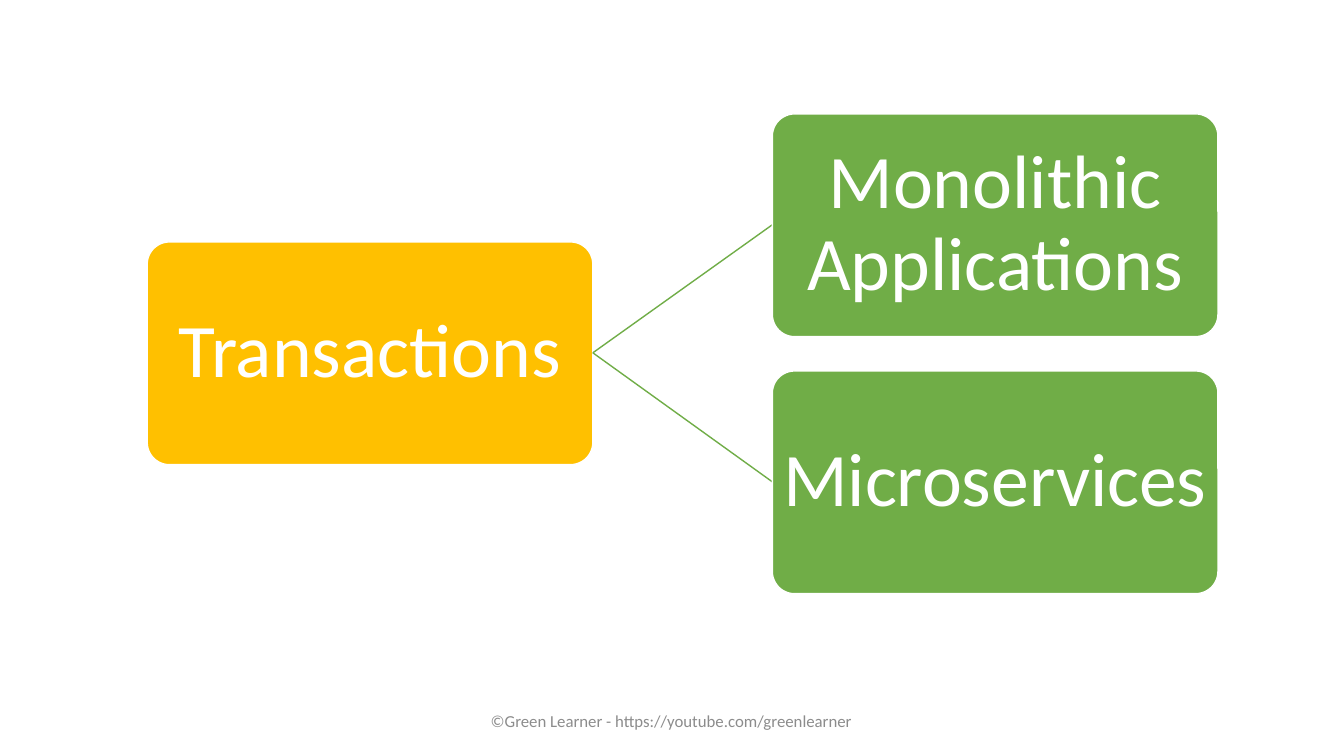
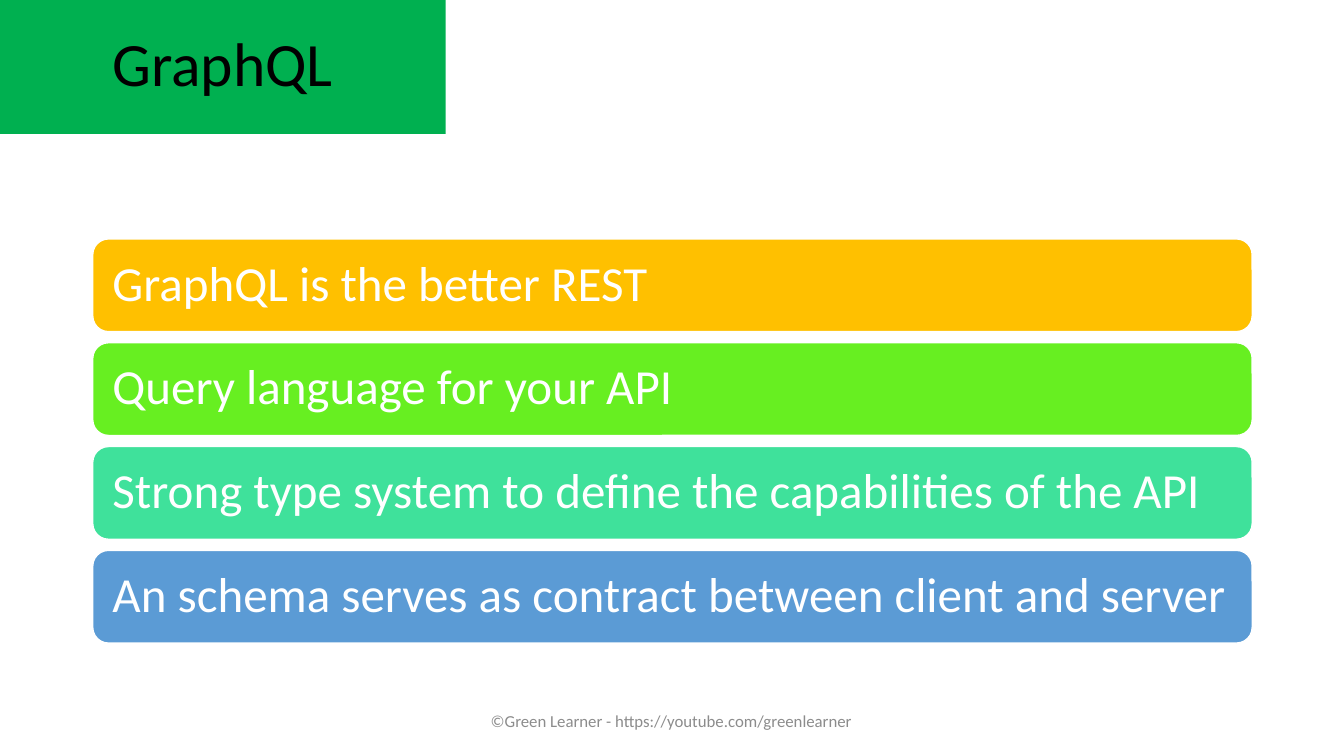
from dataclasses import dataclass

from pptx import Presentation
from pptx.dml.color import RGBColor
from pptx.enum.shapes import MSO_CONNECTOR, MSO_SHAPE
from pptx.enum.text import MSO_ANCHOR, PP_ALIGN
from pptx.oxml.ns import qn
from pptx.slide import Slide
from pptx.util import Emu, Pt
from lxml.etree import SubElement

SCALE = 9144  # EMU in one px, at 100 px to the inch
WIDE, HIGH = 1333, 750
FONT = "Calibri"
FOOT = "©Green Learner - https://youtube.com/greenlearner"

WHITE = RGBColor(0xFF, 0xFF, 0xFF)
BLACK = RGBColor(0x00, 0x00, 0x00)
GREY = RGBColor(0x8C, 0x8C, 0x8C)
AMBER = RGBColor(0xFF, 0xC0, 0x00)
GREEN = RGBColor(0x70, 0xAD, 0x47)
LIME = RGBColor(0x67, 0xEF, 0x21)
MINT = RGBColor(0x3F, 0xE1, 0x9B)
BLUE = RGBColor(0x5B, 0x9B, 0xD5)
BAND = RGBColor(0x00, 0xB0, 0x50)


@dataclass(frozen=True)
class Style:
    size: int
    color: RGBColor = WHITE
    align: PP_ALIGN = PP_ALIGN.CENTER
    inset: int = 10
    space: float = 0.9


@dataclass(frozen=True)
class Box:
    text: str
    left: int
    top: int
    width: int
    height: int
    fill: RGBColor

    @property
    def right(self) -> int:
        return self.left + self.width

    @property
    def middle(self) -> int:
        return self.top + self.height // 2


NODE = Style(54, inset=4)
ROW = Style(35, align=PP_ALIGN.LEFT, inset=15)
TITLE = Style(44, BLACK)
NOTE = Style(12, GREY, space=1.0)


def px(count: int) -> Emu:
    return Emu(count * SCALE)


def write(shape, text: str, style: Style) -> None:
    frame = shape.text_frame
    frame.word_wrap = True
    frame.vertical_anchor = MSO_ANCHOR.MIDDLE
    frame.margin_left = frame.margin_right = px(style.inset)
    frame.margin_top = frame.margin_bottom = px(min(style.inset, 5))
    para = frame.paragraphs[0]
    para.alignment = style.align
    para.line_spacing = style.space
    run = para.add_run()
    run.text = text
    run.font.name = FONT
    run.font.size = Pt(style.size)
    run.font.color.rgb = style.color


def draw(slide: Slide, box: Box, style: Style, curve: float = 0) -> None:
    """Draw a filled box; a curve above zero rounds it and edges it in white."""
    kind = MSO_SHAPE.ROUNDED_RECTANGLE if curve else MSO_SHAPE.RECTANGLE
    shape = slide.shapes.add_shape(
        kind, px(box.left), px(box.top), px(box.width), px(box.height))
    shape.shadow.inherit = False
    shape.fill.solid()
    shape.fill.fore_color.rgb = box.fill
    if curve:
        shape.adjustments[0] = curve
        shape.line.color.rgb = WHITE
        shape.line.width = Pt(1)
    else:
        shape.line.fill.background()
    write(shape, box.text, style)


def link(slide: Slide, start: Box, end: Box) -> None:
    line = slide.shapes.add_connector(
        MSO_CONNECTOR.STRAIGHT, px(start.right), px(start.middle),
        px(end.left), px(end.middle))
    line.line.color.rgb = GREEN
    line.line.width = Pt(1)
    SubElement(line._element.spPr, qn("a:effectLst"))


def start(deck) -> Slide:
    """Add a blank slide with the shared footer."""
    slide = deck.slides.add_slide(deck.slide_layouts[6])
    width = 450
    foot = slide.shapes.add_textbox(
        px((WIDE - width) // 2), px(695), px(width), px(40))
    write(foot, FOOT, NOTE)
    return slide


def tree(deck) -> None:
    slide = start(deck)
    wide, high, top, gap = 442, 221, 113, 34
    step = high + gap
    root = Box("Transactions", 146, top + step // 2, wide, high, AMBER)
    draw(slide, root, NODE, 0.1)
    for i, text in enumerate(("Monolithic Applications", "Microservices")):
        leaf = Box(text, 766, top + i * step, wide, high, GREEN)
        link(slide, root, leaf)
        draw(slide, leaf, NODE, 0.1)


def stack(deck) -> None:
    slide = start(deck)
    rows = (
        ("GraphQL is the better REST", AMBER),
        ("Query language for your API", LIME),
        ("Strong type system to define the capabilities of the API", MINT),
        ("An schema serves as contract between client and server", BLUE),
    )
    for i, (text, fill) in enumerate(rows):
        draw(slide, Box(text, 92, 237 + i * 103, 1150, 92, fill), ROW, 0.17)
    draw(slide, Box("GraphQL", 0, 0, 442, 133, BAND), TITLE)


def main() -> None:
    deck = Presentation()
    deck.slide_width, deck.slide_height = px(WIDE), px(HIGH)
    tree(deck)
    stack(deck)
    deck.save("out.pptx")


if __name__ == "__main__":
    main()
